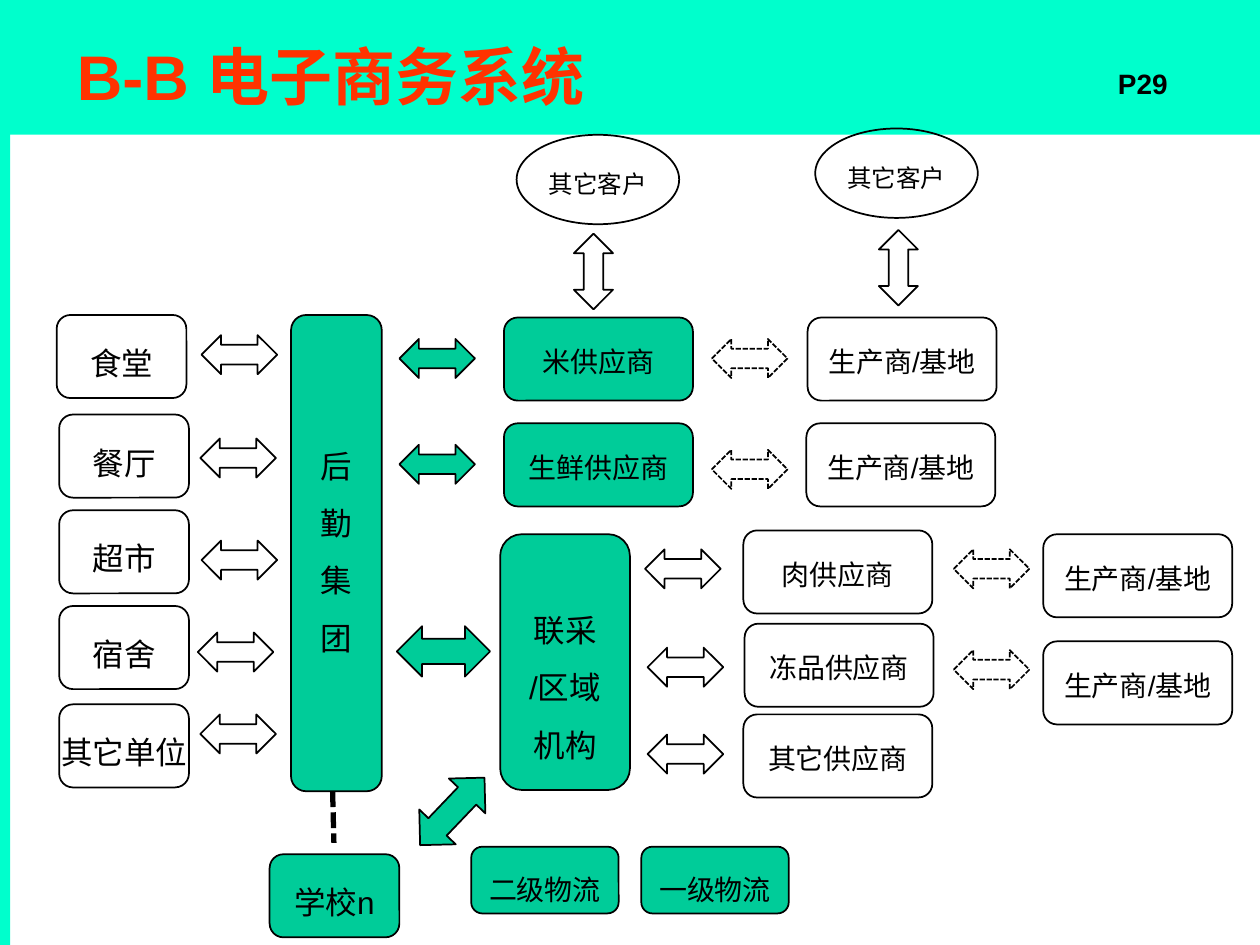
from pptx import Presentation
from pptx.dml.color import RGBColor
from pptx.enum.dml import MSO_LINE
from pptx.enum.shapes import MSO_CONNECTOR, MSO_SHAPE
from pptx.enum.text import MSO_ANCHOR, PP_ALIGN
from pptx.oxml import parse_xml
from pptx.util import Inches, Pt

THEME = {
    "font": "Arial",
    "band": RGBColor(0x00, 0xFF, 0xCC),
    "core": RGBColor(0x00, 0xCC, 0x99),
    "title": RGBColor(0xFF, 0x33, 0x00),
    "ink": RGBColor(0, 0, 0),
    "title_size": 36, "unit_size": 18, "firm_size": 16, "client_size": 14,
    "outline": 1, "dash": 3,
}
TITLE = "B-B 电子商务系统"
PAGE = "P29"
BANDS = [(0.08, 0, 9.92, 1.07), (0, 0, 0.08, 7.5)]

PRODUCER = "生产商/基地"
CLIENT = "其它客户"
BOX_GROUPS = [
    {"size": "unit_size", "w": 1.03, "h": 0.66, "fill": None, "boxes": [
        ("食堂", 0.45, 2.5), ("餐厅", 0.47, 3.29), ("超市", 0.47, 4.05),
        ("宿舍", 0.47, 4.81), ("其它单位", 0.47, 5.59)]},
    {"size": "firm_size", "w": 1.5, "h": 0.66, "fill": "core", "boxes": [
        ("米供应商", 4, 2.52), ("生鲜供应商", 4, 3.36)]},
    {"size": "firm_size", "w": 1.5, "h": 0.66, "fill": None, "boxes": [
        ("肉供应商", 5.9, 4.21), ("冻品供应商", 5.91, 4.95), ("其它供应商", 5.9, 5.67),
        (PRODUCER, 6.41, 2.52), (PRODUCER, 6.4, 3.36),
        (PRODUCER, 8.28, 4.24), (PRODUCER, 8.28, 5.09)]},
    {"size": "firm_size", "w": 1.17, "h": 0.53, "fill": "core", "boxes": [
        ("二级物流", 3.74, 6.72), ("一级物流", 5.09, 6.72)]},
    {"size": "unit_size", "w": 1.03, "h": 0.66, "fill": "core", "boxes": [
        ("学校n", 2.14, 6.78)]},
    {"size": "client_size", "w": 1.29, "h": 0.71, "fill": None, "kind": MSO_SHAPE.OVAL,
     "boxes": [(CLIENT, 4.1, 1.07), (CLIENT, 6.47, 1.02)]},
]
TOWERS = [
    (["后", "勤", "集", "团"], (2.31, 2.5, 0.72, 3.78), 1.01),
    (["联采", "/区域", "机构"], (3.97, 4.24, 1.03, 2.03), 0.56),
]
SMALL, LARGE = (0.6, 0.31), (0.74, 0.4)
ARROW_GROUPS = [
    {"size": SMALL, "at": [(1.6, 2.66), (1.59, 3.48), (1.6, 4.29), (1.57, 5.02), (1.59, 5.67),
                           (5.12, 4.36), (5.14, 5.14), (5.14, 5.83)]},
    {"size": SMALL, "at": [(5.65, 2.69), (5.65, 3.57), (7.57, 4.36), (7.57, 5.16)], "dashed": True},
    {"size": SMALL, "at": [(4.41, 2), (6.83, 1.97)], "rotation": 90},
    {"size": SMALL, "at": [(3.17, 2.69), (3.17, 3.53)], "fill": "core"},
    {"size": LARGE, "at": [(3.15, 4.97)], "fill": "core"},
    {"size": LARGE, "at": [(3.22, 6.24)], "fill": "core", "rotation": 313.7},
]
SCHOOL_LINK = (2.64, 6.28, 2.65, 6.69)


def apply(obj, **values):
    for name, value in values.items():
        setattr(obj, name, value)


def add_shape(s, kind, at, fill=None, outlined=True, dashed=False):
    sp = s.shapes.add_shape(kind, *map(Inches, at))
    sp.shadow.inherit = False
    if fill:
        sp.fill.solid()
        sp.fill.fore_color.rgb = THEME[fill]
    else:
        sp.fill.background()
    if outlined:
        sp.line.color.rgb = THEME["ink"]
        sp.line.width = Pt(THEME["outline"])
        if dashed:
            sp.line.dash_style = MSO_LINE.SQUARE_DOT
    else:
        sp.line.fill.background()
    return sp


def write(sp, lines, size, color="ink", align=PP_ALIGN.CENTER, anchor=MSO_ANCHOR.TOP,
          wrap=False, bold=False, spacing=1.0, top=0.05, gap=0):
    tf = sp.text_frame
    apply(tf, word_wrap=wrap, vertical_anchor=anchor, margin_left=Inches(0.1),
          margin_right=Inches(0.1), margin_top=Inches(top), margin_bottom=Inches(0.05))
    for i, line in enumerate(lines):
        p = tf.add_paragraph() if i else tf.paragraphs[0]
        apply(p, alignment=align, line_spacing=spacing, space_before=Pt(gap if i else 0))
        r = p.add_run()
        r.text = line
        apply(r.font, name=THEME["font"], size=Pt(THEME[size]), bold=bold)
        r.font.color.rgb = THEME[color]


def add_header(s):
    for at in BANDS:
        add_shape(s, MSO_SHAPE.RECTANGLE, at, "band", outlined=False)
    title = s.shapes.title
    s.shapes._spTree.append(title._element)
    apply(title, left=Inches(0.51), top=Inches(0.15), width=Inches(7.98), height=Inches(0.89))
    write(title, [TITLE], "title_size", "title", PP_ALIGN.LEFT, MSO_ANCHOR.MIDDLE, True, True)
    page = s.shapes.add_textbox(*map(Inches, (8.67, 0.48, 0.8, 0.37)))
    write(page, [PAGE], "firm_size", wrap=True, bold=True)


def add_boxes(s):
    for g in BOX_GROUPS:
        kind = g.get("kind", MSO_SHAPE.ROUNDED_RECTANGLE)
        for text, x, y in g["boxes"]:
            sp = add_shape(s, kind, (x, y, g["w"], g["h"]), g["fill"])
            write(sp, [text], g["size"], spacing=1.5)
    for lines, at, top in TOWERS:
        sp = add_shape(s, MSO_SHAPE.ROUNDED_RECTANGLE, at, "core")
        write(sp, lines, "unit_size", top=top, gap=11.2)


def add_arrows(s):
    for g in ARROW_GROUPS:
        for at in g["at"]:
            sp = add_shape(s, MSO_SHAPE.LEFT_RIGHT_ARROW, at + g["size"], g.get("fill"),
                           dashed=g.get("dashed", False))
            sp.rotation = g.get("rotation", 0)
    link = s.shapes.add_connector(MSO_CONNECTOR.STRAIGHT, *map(Inches, SCHOOL_LINK))
    link.line.color.rgb = THEME["ink"]
    apply(link.line, width=Pt(THEME["dash"]), dash_style=MSO_LINE.SQUARE_DOT)
    link._element.spPr.append(parse_xml(
        '<a:effectLst xmlns:a="http://schemas.openxmlformats.org/drawingml/2006/main"/>'))


def main():
    prs = Presentation()
    apply(prs, slide_width=Inches(10), slide_height=Inches(7.5))
    s = prs.slides.add_slide(prs.slide_layouts[5])
    add_header(s)
    add_boxes(s)
    add_arrows(s)
    prs.save("out.pptx")


if __name__ == "__main__":
    main()
